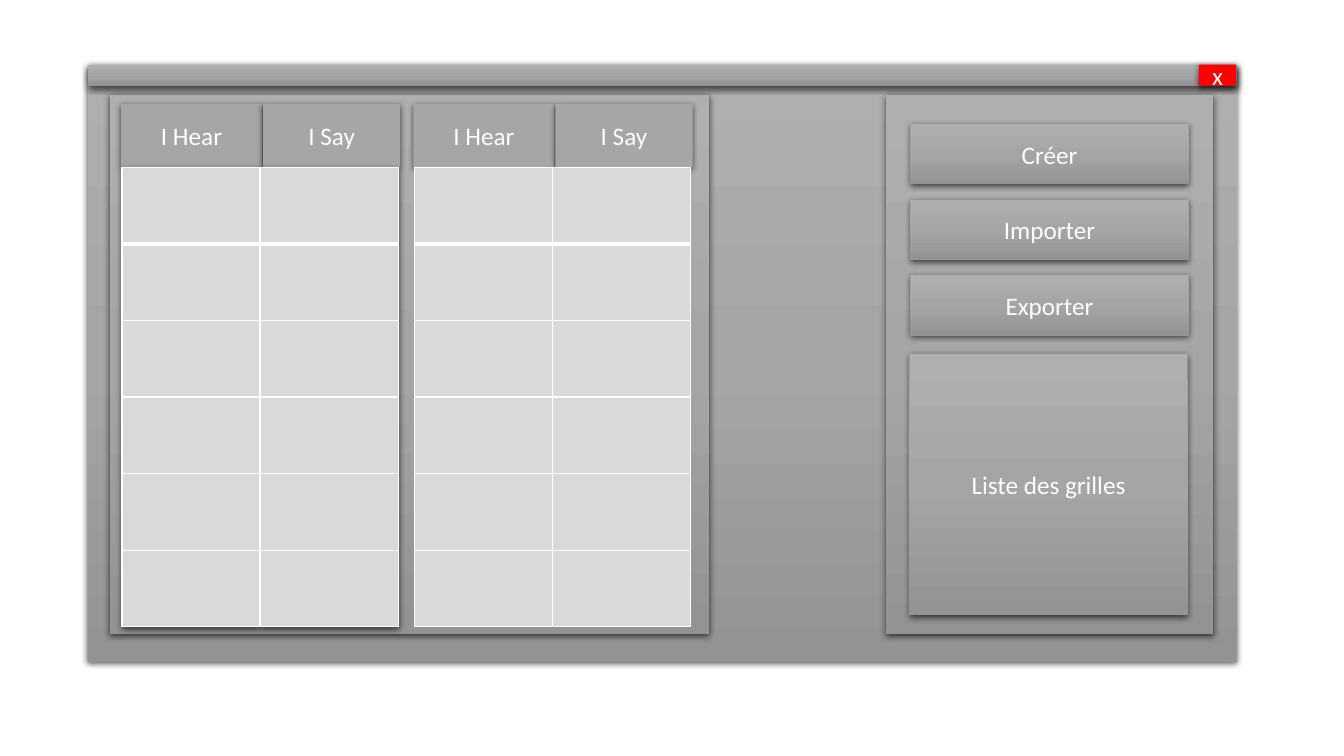
from lxml import etree
from pptx import Presentation
from pptx import util as u
from pptx.dml.color import RGBColor
from pptx.enum import shapes, text
from pptx.oxml import ns

COLORS = {
    "light": "AFAFAF", "middle": "A5A5A5", "dark": "939393",
    "header": "A6A6A6", "cell": "D9D9D9",
    "close": "FF0000", "white": "FFFFFF", "shadow": "000000",
}
GRADIENT = {0: "light", 50: "middle", 100: "dark"}
LABEL_FORMAT = {"name": "Calibri", "size": u.Pt(18)}


def add_element(parent, tag, **attributes):
    values = {name: str(value) for name, value in attributes.items()}
    return etree.SubElement(parent, ns.qn(tag), values)


class Mockup:
    """Holds the window style and the slide being drawn."""

    def __init__(self, slide):
        self.slide = slide

    def box(self, left, top, width, height, label="", color=None):
        frame = [u.Inches(length) for length in (left, top, width, height)]
        shape = self.slide.shapes.add_shape(shapes.MSO_SHAPE.RECTANGLE, *frame)
        if color:
            shape.fill.solid()
            shape.fill.fore_color.rgb = RGBColor.from_string(COLORS[color])
        else:
            self.gradient(shape)
        shape.line.fill.background()
        self.shadow(shape)
        if label:
            self.label(shape, label)

    def gradient(self, shape):
        shape.fill.gradient()
        shape.fill.gradient_angle = 270
        stops = shape.element.spPr.find(".//" + ns.qn("a:gsLst"))
        stops.clear()
        for percent, color in GRADIENT.items():
            stop = add_element(stops, "a:gs", pos=percent * 1000)
            add_element(stop, "a:srgbClr", val=COLORS[color])

    def shadow(self, shape):
        shape.shadow.inherit = False
        effects = shape.element.spPr.find(ns.qn("a:effectLst"))
        outer = add_element(effects, "a:outerShdw", blurRad=u.Pt(4.5), dist=u.Pt(1.5),
                            dir=5400000, algn="ctr", rotWithShape=0)
        color = add_element(outer, "a:srgbClr", val=COLORS["shadow"])
        add_element(color, "a:alpha", val=63000)

    def label(self, shape, label):
        shape.text_frame.vertical_anchor = text.MSO_ANCHOR.MIDDLE
        paragraph = shape.text_frame.paragraphs[0]
        paragraph.alignment = text.PP_ALIGN.CENTER
        run = paragraph.add_run()
        run.text = label
        for name, value in LABEL_FORMAT.items():
            setattr(run.font, name, value)
        run.font.color.rgb = RGBColor.from_string(COLORS["white"])

    def grid(self, left, top, column_width, row_height, columns, rows):
        frame = (left, top, column_width * columns, row_height * rows)
        table = self.slide.shapes.add_table(
            rows, columns, *[u.Inches(length) for length in frame]).table
        table.first_row = table.horz_banding = False
        for column in table.columns:
            column.width = u.Inches(column_width)
        for index, row in enumerate(table.rows):
            row.height = u.Inches(row_height)
            # The rule below the first row is thicker
            borders = {"L": 1, "R": 1, "T": 3 if index == 1 else 1,
                       "B": 3 if index == 0 else 1}
            for cell in row.cells:
                self.borders(cell, borders)
                cell.fill.solid()
                cell.fill.fore_color.rgb = RGBColor.from_string(COLORS["cell"])

    def borders(self, cell, widths):
        properties = cell._tc.get_or_add_tcPr()
        for side, width in widths.items():
            line = add_element(properties, "a:ln" + side, w=u.Pt(width))
            fill = add_element(line, "a:solidFill")
            add_element(fill, "a:srgbClr", val=COLORS["white"])


presentation = Presentation()
presentation.slide_width = u.Inches(13.33)
presentation.slide_height = u.Inches(7.5)
mockup = Mockup(presentation.slides.add_slide(presentation.slide_layouts[6]))

# Window, title bar and the two panels
mockup.box(0.87, 0.66, 11.4, 5.91)
mockup.box(0.87, 0.64, 11.4, 0.21)
mockup.box(8.79, 0.94, 3.24, 5.35)
mockup.box(1.09, 0.94, 5.94, 5.35)

# Buttons, close button and list of grids
for index, label in enumerate(["Créer", "Importer", "Exporter"]):
    mockup.box(9.03, 1.23 + 0.75 * index, 2.76, 0.6, label)
mockup.box(11.89, 0.64, 0.37, 0.21, "x", "close")
mockup.box(9.02, 3.51, 2.76, 2.59, "Liste des grilles")

# Two "I Hear / I Say" grids; only the first has shaded column backs
for left, has_backs in [(1.2, True), (4.1, False)]:
    mockup.box(left, 1.03, 1.4, 0.63, "I Hear", "header")
    mockup.box(left + 1.41, 1.03, 1.36, 0.63, "I Say", "header")
    if has_backs:
        for column in range(2):
            mockup.box(left + 0.01 + 1.38 * column, 1.66, 1.37, 4.56, color="header")
    mockup.grid(left + 0.01, 1.66, 1.37, 0.76, columns=2, rows=6)

presentation.save("out.pptx")
